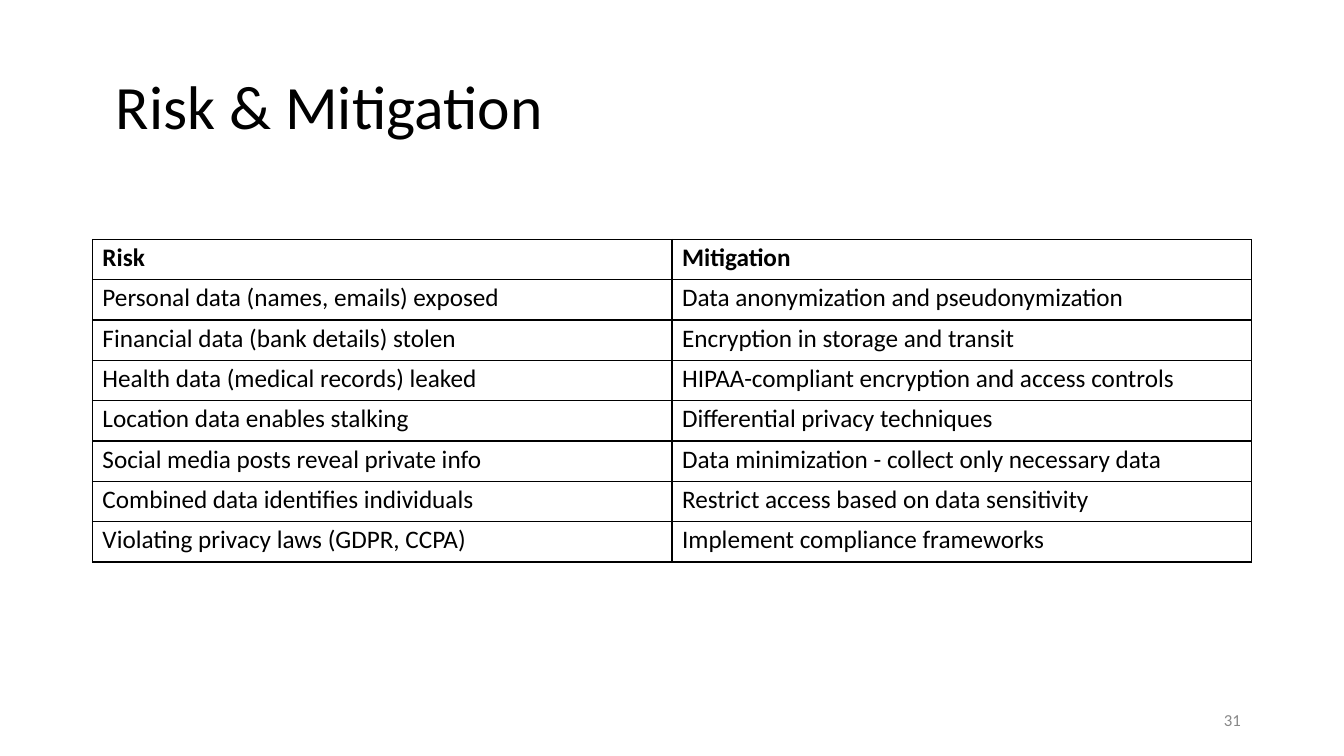
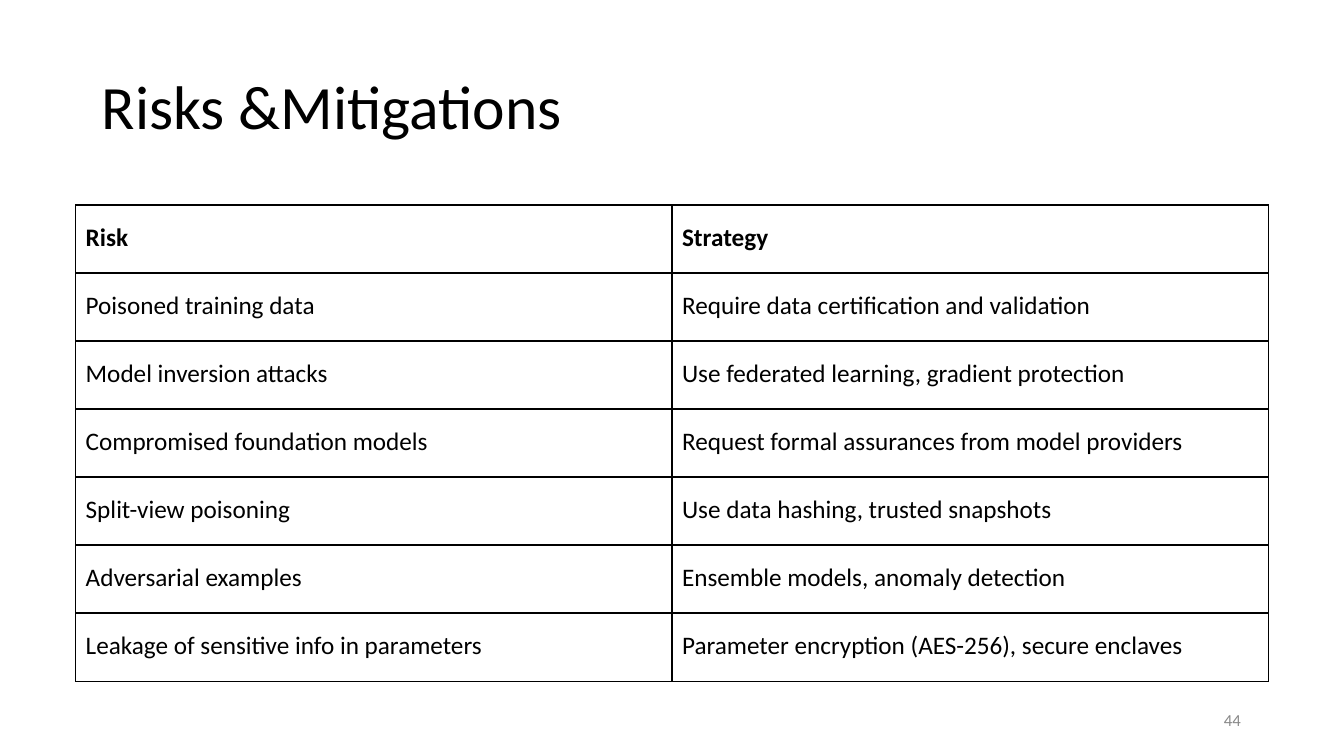
import pptx
import pptx.dml.color
import pptx.enum.text
import pptx.oxml.ns
import pptx.util
from lxml import etree

COLUMNS, ROWS = 160, 90


def colour(value):
    return pptx.dml.color.RGBColor.from_string(value)


class RiskDeck:
    font = "Calibri"
    ink = "000000"
    grey = "888888"
    title_size, table_size, number_size = 44, 18, 12

    def __init__(self):
        self.deck = pptx.Presentation()
        self.deck.slide_width = pptx.util.Inches(13.33)
        self.deck.slide_height = pptx.util.Inches(7.5)
        self.page = None

    def across(self, columns):
        return round(self.deck.slide_width * columns / COLUMNS)

    def down(self, rows):
        return round(self.deck.slide_height * rows / ROWS)

    def place(self, left, top, width, height):
        return self.across(left), self.down(top), self.across(width), self.down(height)

    def add_page(self, title, title_left, number):
        self.page = self.deck.slides.add_slide(self.deck.slide_layouts[6])
        self.text(title, (title_left, 8.1, 134, 9), self.title_size, self.ink)
        para = self.text(number, (145.7, 84.8, 3, 2.4), self.number_size, self.grey)
        para.line_spacing = pptx.util.Pt(12.4)

    def style(self, para, size, ink, bold=False):
        for span in para.runs:
            span.font.name = self.font
            span.font.size = pptx.util.Pt(size)
            span.font.bold = bold
            span.font.color.rgb = colour(ink)

    def text(self, words, area, size, ink):
        frame = self.page.shapes.add_textbox(*self.place(*area)).text_frame
        frame.word_wrap = True
        frame.margin_left = frame.margin_right = 0
        frame.margin_top = frame.margin_bottom = 0
        frame.text = words
        para = frame.paragraphs[0]
        self.style(para, size, ink)
        return para

    def border(self, cell):
        properties = cell._tc.get_or_add_tcPr()
        name = pptx.oxml.ns.qn
        for side in ("a:lnL", "a:lnR", "a:lnT", "a:lnB"):
            line = etree.SubElement(properties, name(side), w=str(pptx.util.Pt(1)))
            fill = etree.SubElement(line, name("a:solidFill"))
            etree.SubElement(fill, name("a:srgbClr"), val=self.ink)

    def table(self, entries, top, width, row_height, inset):
        left = (COLUMNS - width) / 2
        area = self.place(left, top, width, row_height * len(entries))
        table = self.page.shapes.add_table(len(entries), len(entries[0]), *area).table
        table.first_row = table.horz_banding = False
        for row, words in enumerate(entries):
            table.rows[row].height = self.down(row_height)
            for column, word in enumerate(words):
                cell = table.cell(row, column)
                cell.text_frame.text = word
                cell.margin_left = pptx.util.Inches(0.1)
                cell.margin_top = pptx.util.Inches(inset)
                cell.margin_right = cell.margin_bottom = 0
                self.border(cell)
                cell.fill.background()
                para = cell.text_frame.paragraphs[0]
                self.style(para, self.table_size, self.ink, bold=row == 0)


PRIVACY_RISKS = [
    ("Risk", "Mitigation"),
    ("Personal data (names, emails) exposed", "Data anonymization and pseudonymization"),
    ("Financial data (bank details) stolen", "Encryption in storage and transit"),
    ("Health data (medical records) leaked", "HIPAA-compliant encryption and access controls"),
    ("Location data enables stalking", "Differential privacy techniques"),
    ("Social media posts reveal private info", "Data minimization - collect only necessary data"),
    ("Combined data identifies individuals", "Restrict access based on data sensitivity"),
    ("Violating privacy laws (GDPR, CCPA)", "Implement compliance frameworks"),
]

MODEL_RISKS = [
    ("Risk", "Strategy"),
    ("Poisoned training data", "Require data certification and validation"),
    ("Model inversion attacks", "Use federated learning, gradient protection"),
    ("Compromised foundation models", "Request formal assurances from model providers"),
    ("Split-view poisoning", "Use data hashing, trusted snapshots"),
    ("Adversarial examples", "Ensemble models, anomaly detection"),
    ("Leakage of sensitive info in parameters", "Parameter encryption (AES-256), secure enclaves"),
]


def main():
    risks = RiskDeck()
    risks.add_page("Risk & Mitigation", 13.8, "31")
    risks.table(PRIVACY_RISKS, top=28.5, width=138, row_height=4.8, inset=0.03)
    risks.add_page("Risks &Mitigations", 12.1, "44")
    risks.table(MODEL_RISKS, top=24.4, width=142, row_height=8.1, inset=0.17)
    risks.deck.save("out.pptx")


if __name__ == "__main__":
    main()
